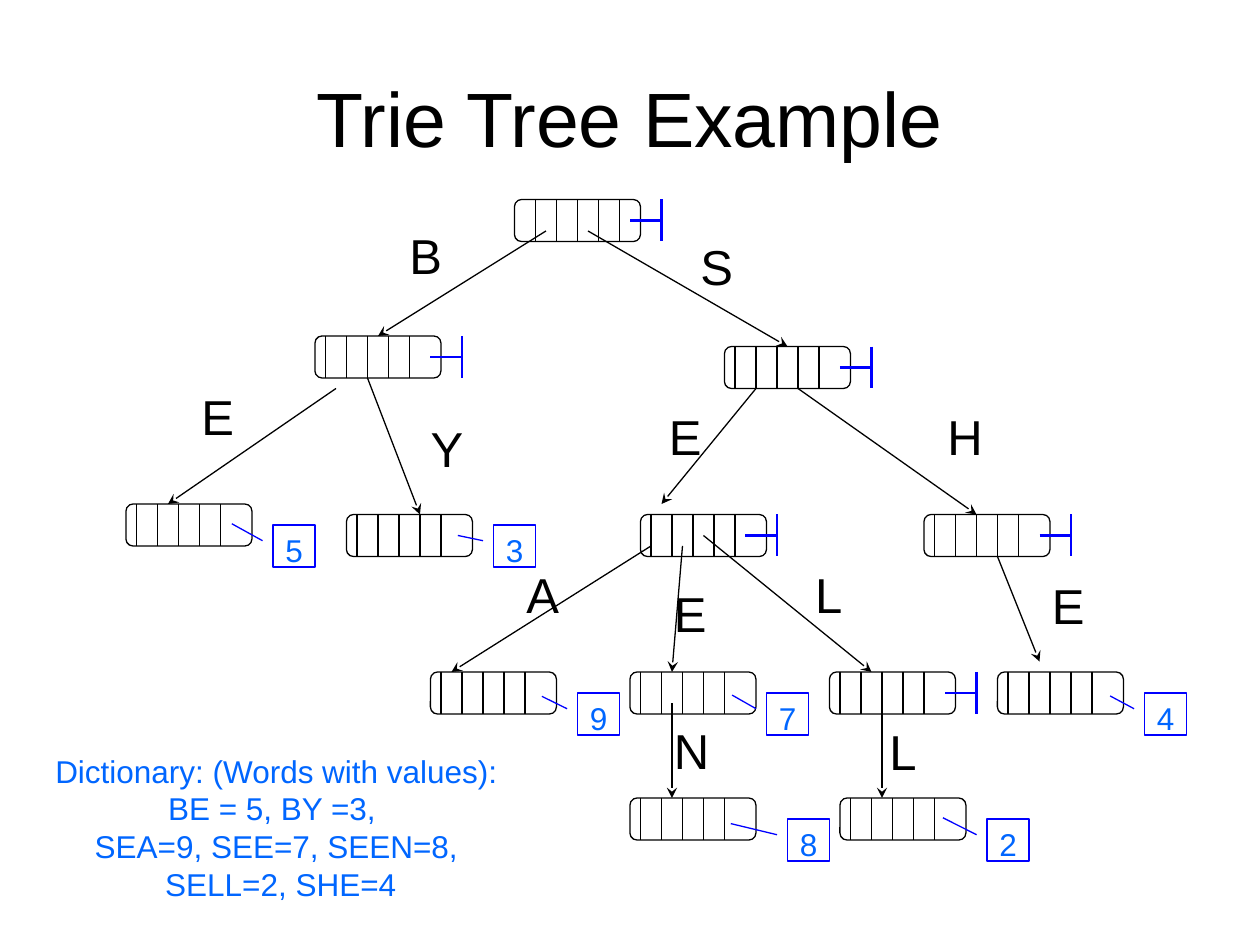
from dataclasses import dataclass
from typing import Optional

import lxml.etree
import pptx
import pptx.dml.color
import pptx.enum.shapes
import pptx.enum.text
import pptx.oxml.ns
import pptx.util

SHAPE = pptx.enum.shapes.MSO_SHAPE
ALIGN = pptx.enum.text.PP_ALIGN
ANCHOR = pptx.enum.text.MSO_ANCHOR
AUTO = pptx.enum.text.MSO_AUTO_SIZE
qn = pptx.oxml.ns.qn

BLACK, BLUE, TEXT_BLUE = "000000", "0000FF", "0066FF"
GRID_CM = 2.54 / 12
NODE_W, NODE_H, VALUE_SIZE = 12, 4, 4
LABEL_H = 6.84
LABEL_WIDTHS = {"L": 5.04, "H": 5.76, "N": 5.76}


@dataclass
class Node:
    x: float
    y: float
    first_divider: float = 1
    null_offset: Optional[float] = None


@dataclass
class Edge:
    letter: str
    start: tuple[float, float]
    end: tuple[float, float]
    label: tuple[float, float]


@dataclass
class Value:
    text: str
    x: float
    y: float
    tip_y: float
    tip_x: float


NODES = [
    Node(49, 19, first_divider=2, null_offset=11),
    Node(30, 32, null_offset=11),
    Node(69, 33, null_offset=11),
    Node(12, 48),
    Node(33, 49),
    Node(61, 49, null_offset=10),
    Node(88, 49, null_offset=11),
    Node(41, 64),
    Node(60, 64),
    Node(79, 64, null_offset=11),
    Node(95, 64),
    Node(60, 76),
    Node(80, 76),
]

EDGES = [
    Edge("B", (52, 22), (36, 32), (37.8, 20.88)),
    Edge("S", (56, 22), (75, 33), (65.52, 21.96)),
    Edge("E", (32, 37), (16, 48), (18, 36.24)),
    Edge("Y", (35, 36), (40, 49), (39.84, 39.24)),
    Edge("E", (72, 37), (63, 48), (62.52, 38.16)),
    Edge("H", (76, 37), (93, 49), (89.04, 38.16)),
    Edge("A", (62, 52), (43, 64), (48.96, 53.16)),
    Edge("E", (65, 52), (64, 64), (63, 54.96)),
    Edge("L", (67, 51), (83, 64), (76.44, 53.16)),
    Edge("E", (95, 53), (99, 63), (99, 54.24)),
    Edge("N", (64, 67), (64, 76), (63, 68.04)),
    Edge("L", (84, 68), (84, 76), (83.52, 68.16)),
]

VALUES = [
    Value("5", 26, 50, -0.03, -0.98),
    Value("3", 47, 50, 0.25, -0.85),
    Value("9", 55, 66, 0.08, -0.85),
    Value("8", 75, 78, 0.11, -1.35),
    Value("2", 94, 78, -0.03, -1.05),
    Value("4", 109, 66, 0.07, -0.82),
    Value("7", 73, 66, 0.05, -0.82),
]

DICTIONARY = [
    "Dictionary: (Words with values):",
    "BE = 5, BY =3, ",
    "SEA=9, SEE=7, SEEN=8,",
    " SELL=2, SHE=4",
]


def grid(*units: float) -> list[int]:
    return [pptx.util.Cm(u * GRID_CM) for u in units]


def rgb(color: str) -> pptx.dml.color.RGBColor:
    return pptx.dml.color.RGBColor.from_string(color)


def write(tf, lines: list[str], size: float, color: str, align=ALIGN.CENTER) -> None:
    for i, line in enumerate(lines):
        p = tf.paragraphs[0] if i == 0 else tf.add_paragraph()
        p.text = line
        p.alignment = align
        p.font.size = pptx.util.Pt(size)
        p.font.name = "Arial"
        p.font.color.rgb = rgb(color)


def add_text(shapes, box, lines, size, color, align=ALIGN.CENTER):
    tf = shapes.add_textbox(*grid(*box)).text_frame
    tf.word_wrap = False
    tf.auto_size = AUTO.SHAPE_TO_FIT_TEXT
    write(tf, lines, size, color, align)
    return tf


def add_line(shapes, start, end, color=BLACK, width=0.75, arrow=False) -> None:
    s = shapes.add_connector(
        pptx.enum.shapes.MSO_CONNECTOR.STRAIGHT, *grid(*start, *end)
    )
    s.line.color.rgb = rgb(color)
    s.line.width = pptx.util.Pt(width)
    pr = s.element.spPr
    if arrow:
        lxml.etree.SubElement(pr.find(qn("a:ln")), qn("a:tailEnd"), type="stealth")
    lxml.etree.SubElement(pr, qn("a:effectLst"))


def add_outline(shapes, kind, box, color: str, adjustments: list[float]):
    s = shapes.add_shape(kind, *grid(*box))
    s.shadow.inherit = False
    s.fill.background()
    s.line.color.rgb = rgb(color)
    s.line.width = pptx.util.Pt(0.75)
    for i, value in enumerate(adjustments):
        s.adjustments[i] = value
    return s


def draw_node(shapes, n: Node) -> None:
    box = (n.x, n.y, NODE_W, NODE_H)
    add_outline(shapes, SHAPE.ROUNDED_RECTANGLE, box, BLACK, [0.17])
    for i in range(5):
        x = n.x + n.first_divider + 2 * i
        add_line(shapes, (x, n.y), (x, n.y + NODE_H))
    if n.null_offset is not None:
        x, mid = n.x + n.null_offset, n.y + NODE_H / 2
        add_line(shapes, (x, mid), (x + 3, mid), BLUE, 1.5)
        add_line(shapes, (x + 3, n.y), (x + 3, n.y + NODE_H), BLUE, 1.25)


def draw_edge(shapes, e: Edge) -> None:
    add_line(shapes, e.start, e.end, arrow=True)
    box = (*e.label, LABEL_WIDTHS.get(e.letter, 5.52), LABEL_H)
    add_text(shapes, box, [e.letter], 28, BLACK, ALIGN.LEFT)


def draw_value(shapes, v: Value) -> None:
    box = (v.x, v.y, VALUE_SIZE, VALUE_SIZE)
    tip = [0.375, -0.25, v.tip_y, v.tip_x]
    s = add_outline(shapes, SHAPE.LINE_CALLOUT_1, box, BLUE, tip)
    s.text_frame.vertical_anchor = ANCHOR.TOP
    write(s.text_frame, [v.text], 18, TEXT_BLUE)


def main() -> None:
    prs = pptx.Presentation()
    prs.slide_width, prs.slide_height = pptx.util.Cm(25.4), pptx.util.Cm(19.05)
    shapes = prs.slides.add_slide(prs.slide_layouts[6]).shapes

    tf = add_text(shapes, (6, 3.6, 108, 15), ["Trie Tree Example"], 44, BLACK)
    tf.word_wrap = True
    tf.auto_size = AUTO.NONE
    tf.vertical_anchor = ANCHOR.MIDDLE

    for n in NODES:
        draw_node(shapes, n)
    for e in EDGES:
        draw_edge(shapes, e)
    for v in VALUES:
        draw_value(shapes, v)
    add_text(shapes, (4, 71, 44.64, 15.6), DICTIONARY, 18, TEXT_BLUE)

    prs.save("out.pptx")


if __name__ == "__main__":
    main()
